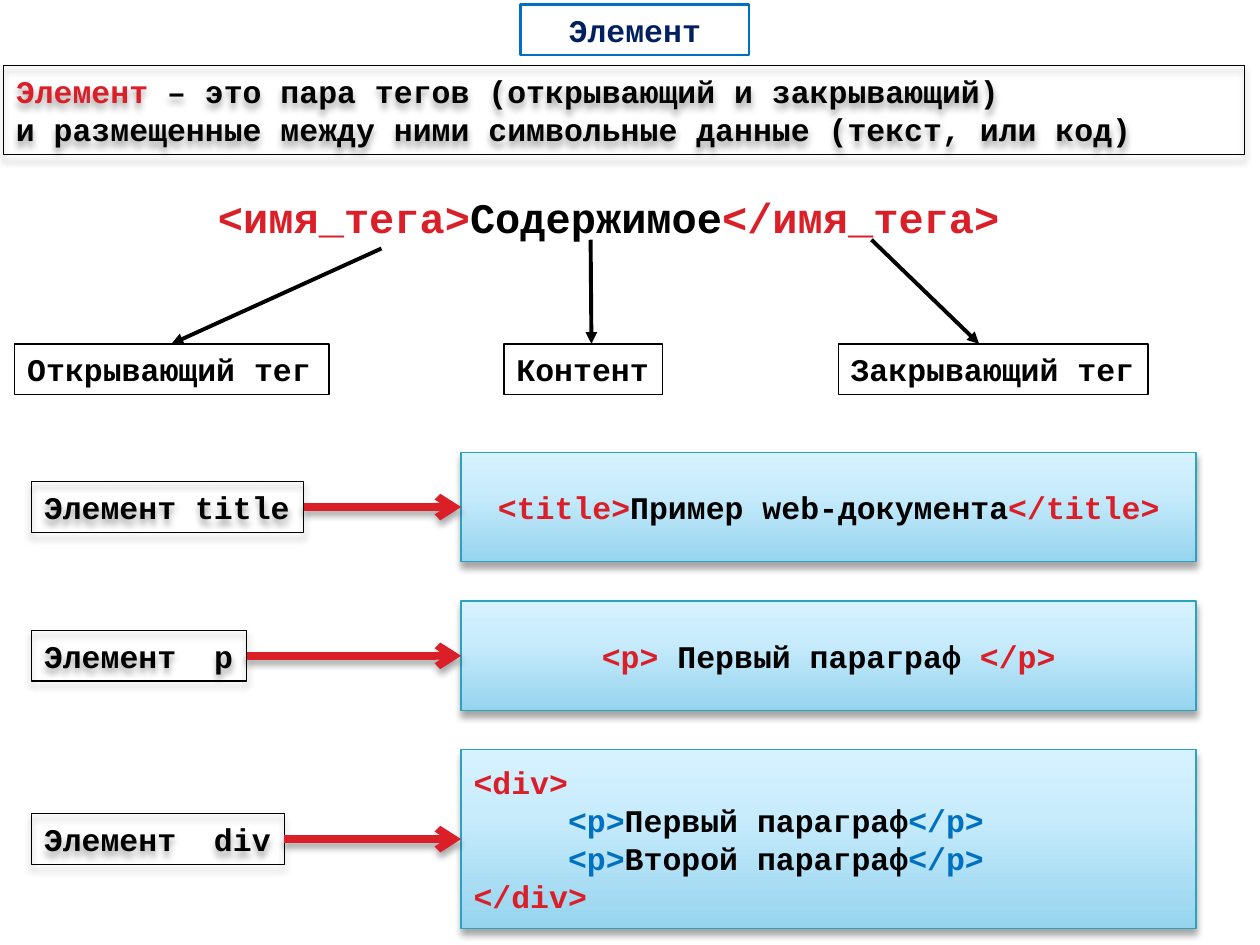
from copy import deepcopy
from itertools import zip_longest
from pptx import Presentation
from pptx import util as u
from pptx.dml.color import RGBColor
from pptx.enum import shapes as es, text as et
from pptx.oxml import ns
from lxml import etree

HUES = {
    "black": "000000", "red": "DA1F28", "blue": "0070C0", "navy": "002060",
    "edge": "2DA2BF", "deep": "96D4EE", "mid": "C9ECFC", "pale": "D7F2FF",
}


def hue(name):
    return RGBColor.from_string(HUES[name])


def write(frame, paras, font="Courier New", size=18, align="LEFT",
          anchor="TOP", wrap=True, grow=False, indents=()):
    frame.word_wrap = wrap
    frame.auto_size = (et.MSO_AUTO_SIZE.SHAPE_TO_FIT_TEXT if grow
                       else et.MSO_AUTO_SIZE.NONE)
    frame.vertical_anchor = et.MSO_ANCHOR[anchor]
    for i, (runs, indent) in enumerate(zip_longest(paras, indents, fillvalue=0)):
        para = frame.add_paragraph() if i else frame.paragraphs[0]
        para.alignment = et.PP_ALIGN[align]
        if indent:
            props = para._p.get_or_add_pPr()
            props.set("marL", str(u.Pt(indent)))
            props.set("indent", "0")
        for words, color in runs:
            run = para.add_run()
            run.text = words
            run.font.name, run.font.size, run.font.bold = font, u.Pt(size), True
            run.font.color.rgb = hue(color)


class Deck:
    def __init__(self, wide, high):
        self.pres = Presentation()
        self.pres.slide_width, self.pres.slide_height = u.Pt(wide), u.Pt(high)
        self.slide = self.pres.slides.add_slide(self.pres.slide_layouts[5])
        self.items = self.slide.shapes

    def group(self):
        self.items = self.slide.shapes.add_group_shape().shapes

    def stroke(self, shape, color, width):
        shape.line.color.rgb = hue(color)
        shape.line.width = u.Pt(width)

    def shade(self, shape, on):
        props = shape._element.spPr
        effects = props.find(ns.qn("a:effectLst"))
        if effects is None:
            effects = etree.SubElement(props, ns.qn("a:effectLst"))
        if on:
            outer = etree.SubElement(
                effects, ns.qn("a:outerShdw"), blurRad=str(u.Pt(4)),
                dist=str(u.Pt(3)), dir="5400000", rotWithShape="0")
            color = etree.SubElement(outer, ns.qn("a:srgbClr"), val=HUES["black"])
            etree.SubElement(color, ns.qn("a:alpha"), val="35000")

    def title(self, spot, paras, **style):
        shape = self.slide.shapes.title
        shape.left, shape.top, shape.width, shape.height = map(u.Pt, spot)
        self.stroke(shape, "blue", 1.5)
        write(shape.text_frame, paras, **style)

    def label(self, spot, paras, **style):
        box = self.items.add_textbox(*map(u.Pt, spot))
        write(box.text_frame, paras, **style)

    def box(self, spot, paras, edge="black", glow=False, shadow=False, **style):
        shape = self.items.add_shape(es.MSO_SHAPE.RECTANGLE, *map(u.Pt, spot))
        shape.shadow.inherit = False
        if glow:
            shape.fill.gradient()
            shape.fill.gradient_angle = 90
            first = next(shape._element.iter(ns.qn("a:gs")))
            first.addnext(deepcopy(first))
            marks = ((0, "deep"), (0.65, "mid"), (1, "pale"))
            for stop, (place, color) in zip(shape.fill.gradient_stops, marks):
                stop.position = place
                stop.color.rgb = hue(color)
        else:
            shape.fill.background()
        self.stroke(shape, edge, 0.75)
        self.shade(shape, shadow)
        write(shape.text_frame, paras, **style)

    def arrow(self, ends, color="black", width=2.25, head="triangle", shadow=False):
        line = self.items.add_connector(es.MSO_CONNECTOR.STRAIGHT, *map(u.Pt, ends))
        self.stroke(line, color, width)
        outline = line._element.spPr.find(ns.qn("a:ln"))
        etree.SubElement(outline, ns.qn("a:tailEnd"), type=head)
        self.shade(line, shadow)


def main():
    deck = Deck(720, 540)
    tight = {"wrap": False, "grow": True}

    deck.box((2, 37.5, 709, 51), [
        [("Элемент", "red"), (" – это пара тегов (открывающий и закрывающий)", "black")],
        [("и размещенные между ними символьные данные (текст, или код)", "black")],
    ], shadow=True)
    deck.title((297.5, 2.5, 130.5, 29), [[("Элемент", "navy")]], align="CENTER")
    deck.label((117.5, 106, 479, 36), [
        [("<имя_тега>", "red"), ("Содержимое", "black"), ("</имя_тега>", "red")],
    ], size=24, **tight)

    parts = (
        ("Открывающий тег", 8.5, 179.5, (218, 142, 98)),
        ("Контент", 288, 90.5, (337.5, 137, 338)),
        ("Закрывающий тег", 479, 177, (498, 137, 559.5)),
    )
    for name, left, wide, ends in parts:
        deck.box((left, 196.5, wide, 29), [[(name, "black")]], **tight)
        deck.arrow((*ends, 196.5))

    def child(words):
        return [("<p>", "blue"), (words, "black"), ("</p>", "blue")]

    mid = {"align": "CENTER"}
    rows = (
        ("Элемент title", 155.5, 62.5, mid, [
            [("<title>", "red"), ("Пример web-документа", "black"), ("</title>", "red")]]),
        ("Элемент  p", 123, 62.5, mid, [
            [("<p> ", "red"), ("Первый параграф", "black"), (" </p>", "red")]]),
        ("Элемент  div", 144.5, 102, {"indents": (0, 54, 54, 0)}, [
            [("<div>", "red")], child("Первый параграф"),
            child("Второй параграф"), [("</div>", "red")]]),
    )
    left, code = 18, 263.5
    for i, (name, wide, high, style, paras) in enumerate(rows):
        top = 258.5 + 85 * i
        axis = top + high / 2
        deck.group()
        deck.box((code, top, 420, high), paras, edge="edge", glow=True,
                 shadow=True, anchor="MIDDLE", **style)
        deck.box((left, axis - 14.5, wide, 29), [[(name, "black")]],
                 shadow=True, **tight)
        deck.arrow((left + wide, axis, code, axis), color="red", width=4.33,
                   head="arrow", shadow=True)

    deck.pres.save("out.pptx")


if __name__ == "__main__":
    main()
